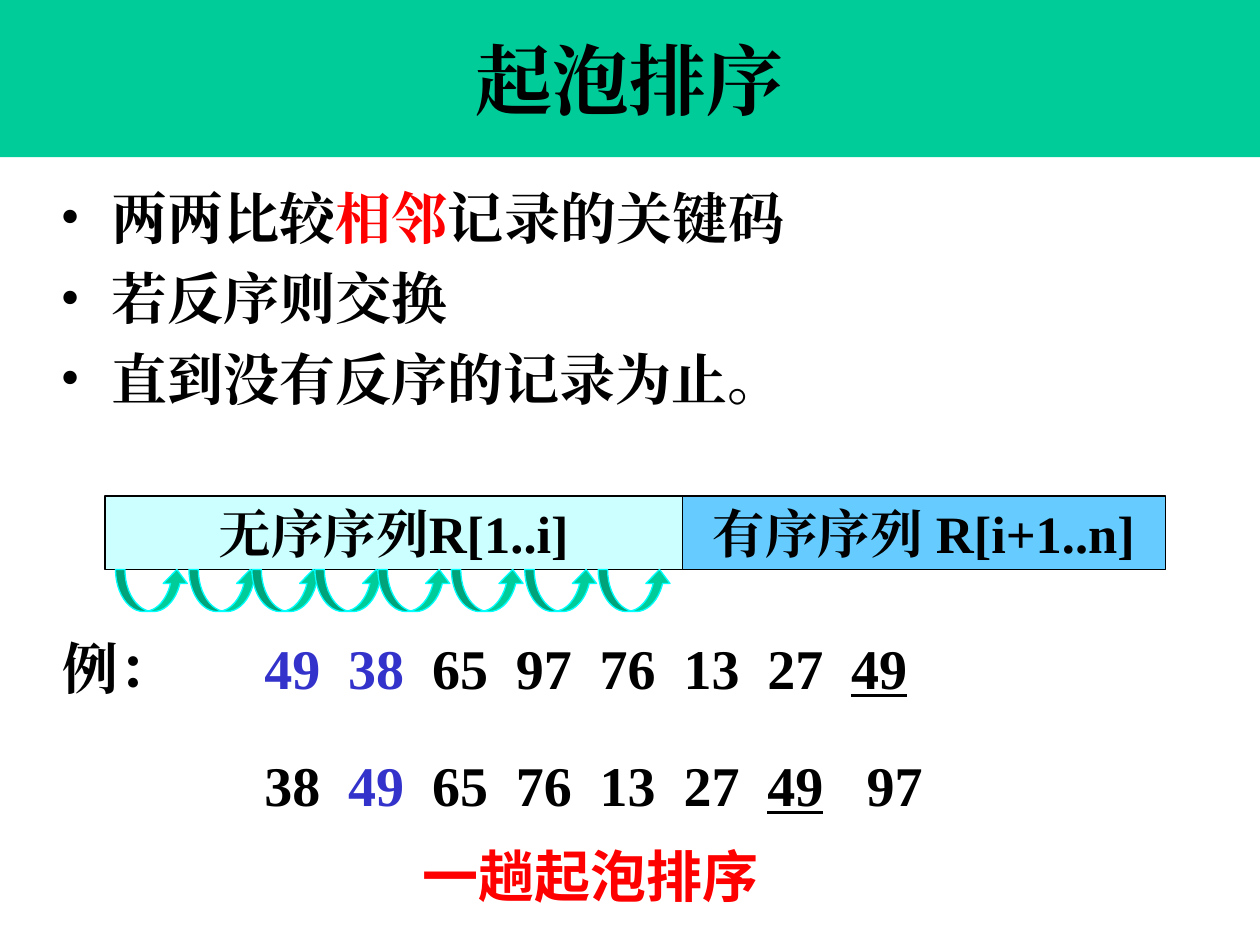
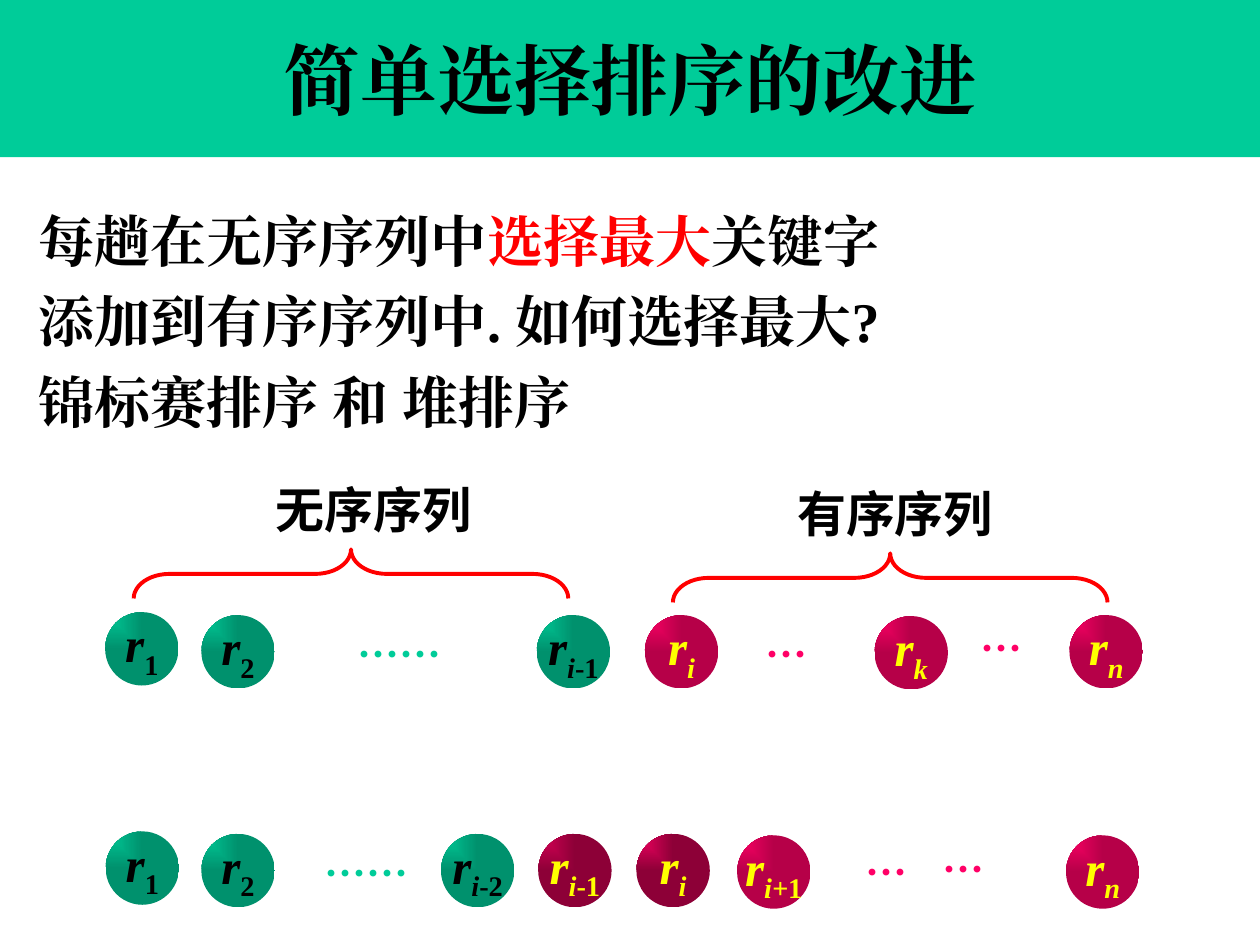
from lxml.etree import SubElement as Sub
from pptx import Presentation
from pptx.dml.color import RGBColor
from pptx.enum.shapes import MSO_SHAPE as Kind
from pptx.enum.text import MSO_ANCHOR as Anchor, PP_ALIGN as Align
from pptx.oxml import parse_xml
from pptx.oxml.ns import nsdecls, qn
from pptx.util import Cm, Pt

BLACK = RGBColor(0x00, 0x00, 0x00)
RED = RGBColor(0xFF, 0x00, 0x00)
BLUE = RGBColor(0x33, 0x33, 0xCC)
GREEN = RGBColor(0x00, 0xCC, 0x99)
CYAN = RGBColor(0x00, 0xFF, 0xFF)
PALE = RGBColor(0xCC, 0xFF, 0xFF)
SKY = RGBColor(0x66, 0xCC, 0xFF)
PINK = RGBColor(0xFF, 0x00, 0x66)
ROSE = RGBColor(0xF6, 0x00, 0x62)
RUBY = RGBColor(0xDA, 0x00, 0x57)
WINE = RGBColor(0x8E, 0x00, 0x38)
GOLD = RGBColor(0xFF, 0xFF, 0x00)

SERIF, SANS, HAN = "Times New Roman", "Arial", "Noto Sans CJK SC"
BODY = dict(name=SERIF, size=Pt(32), bold=True, color=BLACK)
HEAD = BODY | dict(size=Pt(44))
CELL = BODY | dict(size=Pt(30))
NOTE = BODY | dict(name=SANS, color=RED)
TAG = BODY | dict(name=SANS, size=Pt(28))
DOTS = BODY | dict(name=HAN, size=Pt(24))
BALL = BODY | dict(size=Pt(28), italic=True)


def write(shape, lines, base, **form):
    frame = shape.text_frame
    for num, line in enumerate(lines):
        para = frame.paragraphs[0] if num == 0 else frame.add_paragraph()
        for key, val in form.items():
            setattr(para, key, val)
        if num == 0:
            para.space_before = Pt(0)
        for text, diff in line:
            run = para.add_run()
            run.text = text
            style = base | diff
            run.font.color.rgb = style.pop("color")
            drop = style.pop("drop", None)
            for key, val in style.items():
                setattr(run.font, key, val)
            props = run.font._element
            Sub(props, qn("a:ea")).set("typeface", style["name"])
            if drop:
                props.set("baseline", str(drop))
    return frame


def draw(page, kind, box, fill=None, edge=None, width=0.75):
    shape = page.shapes.add_shape(kind, *map(Cm, box))
    shape.shadow.inherit = False
    if fill is None:
        shape.fill.background()
    else:
        shape.fill.solid()
        shape.fill.fore_color.rgb = fill
    if edge is None:
        shape.line.fill.background()
    else:
        shape.line.color.rgb = edge
        shape.line.width = Pt(width)
    return shape


deck = Presentation()
deck.slide_width, deck.slide_height = Cm(25.4), Cm(19.05)
pages = []
for title in ("起泡排序", "简单选择排序的改进"):
    page = deck.slides.add_slide(deck.slide_layouts[6])
    band = draw(page, Kind.RECTANGLE, (0, 0, 25.4, 3.17), GREEN)
    band.text_frame.vertical_anchor = Anchor.MIDDLE
    write(band, [[(title, {})]], HEAD, alignment=Align.CENTER)
    pages.append(page)
bubble, select = pages

body = bubble.shapes.add_textbox(Cm(0.6), Cm(3.43), Cm(24.2), Cm(5.38))
body.text_frame.word_wrap = True
rules = [
    [("两两比较", {}), ("相邻", dict(color=RED)), ("记录的关键码", {})],
    [("若反序则交换", {})],
    [("直到没有反序的记录为止。", {})],
]
write(body, rules, BODY, line_spacing=1.1, space_before=Pt(3.8))
for para in body.text_frame.paragraphs:
    props = para._p.get_or_add_pPr()
    props.set("marL", str(Cm(1.4)))
    props.set("indent", str(Cm(-1.03)))
    Sub(props, qn("a:buFont")).set("typeface", SERIF)
    Sub(props, qn("a:buChar")).set("char", "•")

for left, wide, fill, text in (
    (2.12, 11.64, PALE, "无序序列R[1..i]"),
    (13.76, 9.73, SKY, "有序序列 R[i+1..n]"),
):
    part = draw(bubble, Kind.RECTANGLE, (left, 10, wide, 1.48), fill, BLACK)
    part.text_frame.word_wrap = False
    part.text_frame.vertical_anchor = Anchor.MIDDLE
    write(part, [[(text, {})]], CELL, alignment=Align.CENTER)

for left in (2.33, 3.81, 5.08, 6.35, 7.62, 9.1, 10.58, 12.06):
    hop = draw(bubble, Kind.CURVED_UP_ARROW, (left, 11.48, 1.48, 0.85), GREEN, CYAN)
    for num, val in enumerate((0.223, 0.573, 0.333)):
        hop.adjustments[num] = val

STEP = 1.69
LINK = dict(underline=True)
before = [
    ("例：", {}), ("\t49\t38", dict(color=BLUE)),
    ("\t65\t97\t76\t13\t27\t", {}), ("49", LINK),
]
after = [
    ("38", {}), ("\t49", dict(color=BLUE)),
    ("\t65\t76\t13\t27\t", {}), ("49", LINK), ("\t97", {}),
]
for top, inset, line, stops in (
    (12.65, 1.27, before, [4.06 + STEP * num for num in range(8)]),
    (15, 5.33, after, [STEP * num for num in range(1, 7)] + [12.14]),
):
    row = bubble.shapes.add_textbox(0, Cm(top), Cm(25.4), Cm(1.6))
    frame = write(row, [line], BODY)
    frame.word_wrap = True
    frame.margin_left = Cm(inset)
    tabs = Sub(frame.paragraphs[0]._p.get_or_add_pPr(), qn("a:tabLst"))
    for stop in stops:
        tab = Sub(tabs, qn("a:tab"))
        tab.set("pos", str(Cm(stop)))
        tab.set("algn", "l")

note = bubble.shapes.add_textbox(Cm(8.26), Cm(16.84), Cm(7.82), Cm(1.47))
write(note, [[("一趟起泡排序", {})]], NOTE).word_wrap = True

plan = select.shapes.add_textbox(Cm(0.53), Cm(3.76), Cm(24.33), Cm(5.18))
plan.text_frame.word_wrap = True
steps = [
    [("每趟在无序序列中", {}), ("选择最大", dict(color=RED)), ("关键字", {})],
    [("添加到有序序列中. 如何选择最大?", {})],
    [("锦标赛排序 和 堆排序", {})],
]
write(plan, steps, BODY, line_spacing=1.2)

for left, top, spot, high, wide, text in (
    (6.58, 7.19, 5.31, 9.55, 5.16, "无序序列"),
    (17.45, 7.27, 15.82, 9.63, 5.51, "有序序列"),
):
    brace = draw(select, Kind.LEFT_BRACE, (left, top, 0.99, 8.76), None, RED, 2.25)
    brace.rotation = 90
    brace.adjustments[0], brace.adjustments[1] = 0.729, 0.5
    tag = select.shapes.add_textbox(Cm(spot), Cm(high), Cm(wide), Cm(1.45))
    write(tag, [[(text, {})]], TAG).word_wrap = True

LEAF = (GREEN, GREEN, 46275, BLACK)
PLUM = (PINK, PINK, 46275, GOLD)
MID = (ROSE, WINE, 100000, GOLD)
NEW = (RUBY, WINE, 100000, GOLD)
for left, top, tone, sign, tail in (
    (2.12, 12.34, LEAF, "", "1"),
    (4.06, 12.4, LEAF, "", "2"),
    (10.82, 12.4, LEAF, "i", "-1"),
    (13, 12.4, PLUM, "i", ""),
    (21.56, 12.4, PLUM, "n", ""),
    (17.63, 12.42, PLUM, "k", ""),
    (21.49, 16.84, PLUM, "n", ""),
    (14.86, 16.84, PLUM, "i+", "1"),
    (2.13, 16.76, LEAF, "", "1"),
    (4.06, 16.81, LEAF, "", "2"),
    (8.89, 16.81, LEAF, "i", "-2"),
    (12.83, 16.81, MID, "i", ""),
    (10.85, 16.81, NEW, "i", "-1"),
):
    light, dark, shade, ink = tone
    ball = draw(select, Kind.OVAL, (left, top, 1.48, 1.48))
    props = ball._element.spPr
    props.replace(props.find(qn("a:noFill")), parse_xml(
        f'<a:gradFill {nsdecls("a")} rotWithShape="0"><a:gsLst>'
        f'<a:gs pos="0"><a:srgbClr val="{light}"/></a:gs>'
        f'<a:gs pos="100000"><a:srgbClr val="{dark}"><a:shade val="{shade}"/>'
        '</a:srgbClr></a:gs></a:gsLst><a:path path="rect">'
        '<a:fillToRect r="100000" b="100000"/></a:path></a:gradFill>'))
    sub = dict(drop=-25000)
    runs = [("r", {}), (sign, sub), (tail, sub | dict(italic=False))]
    frame = write(ball, [[run for run in runs if run[0]]], BALL | dict(color=ink),
                  alignment=Align.CENTER, line_spacing=0.7)
    for key, val in dict(word_wrap=False, vertical_anchor=Anchor.MIDDLE, margin_left=0,
                         margin_right=0, margin_top=0, margin_bottom=0).items():
        setattr(frame, key, val)

for left, top, wide, text, ink in (
    (6.96, 12.55, 2.57, "……", GREEN),
    (19.51, 12.42, 1.63, "…", PINK),
    (15.19, 12.55, 1.63, "…", PINK),
    (6.3, 16.97, 2.57, "……", GREEN),
    (18.75, 16.87, 1.63, "…", PINK),
    (17.2, 16.94, 1.63, "…", PINK),
):
    gap = select.shapes.add_textbox(Cm(left), Cm(top), Cm(wide), Cm(1.27))
    write(gap, [[(text, dict(color=ink))]], DOTS).word_wrap = True

deck.save("out.pptx")
